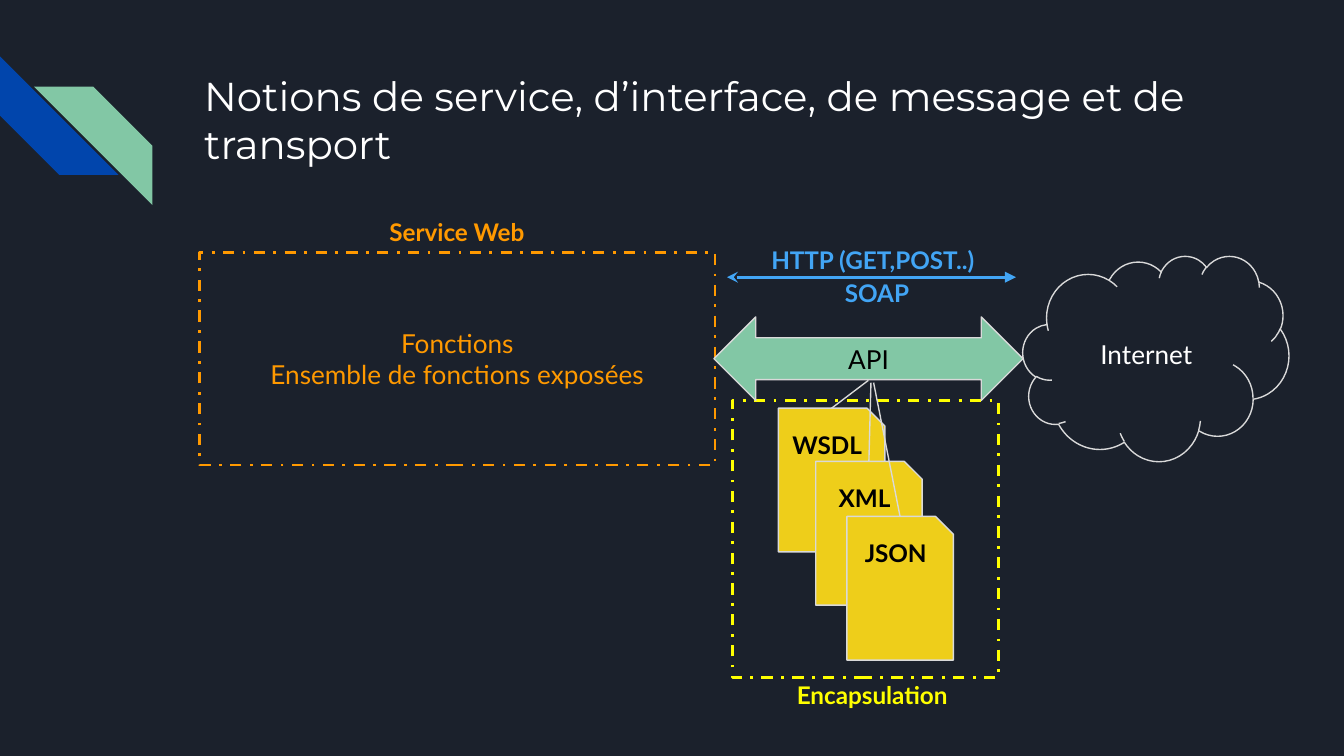
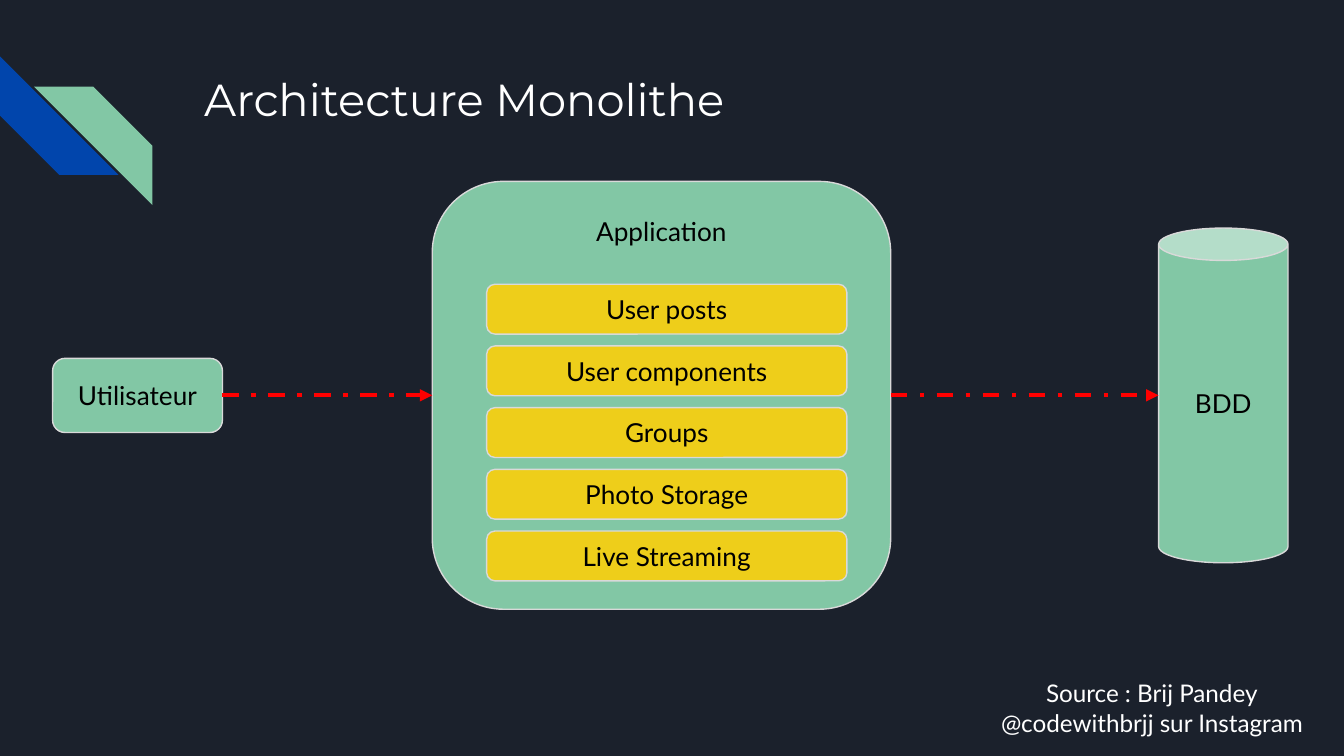
from lxml.etree import SubElement
from pptx import Presentation
from pptx.dml.color import RGBColor
from pptx.enum.dml import MSO_LINE as Dash
from pptx.enum.shapes import MSO_CONNECTOR as Connector, MSO_SHAPE as Shape
from pptx.enum.text import MSO_ANCHOR as Anchor, PP_ALIGN as Align
from pptx.oxml.ns import qn
from pptx.util import Pt

NIGHT = RGBColor(0x1B, 0x21, 0x2C)
BLUE = RGBColor(0x01, 0x45, 0xAC)
GREEN = RGBColor(0x82, 0xC7, 0xA5)
GOLD = RGBColor(0xEE, 0xCE, 0x1A)
ORANGE = RGBColor(0xFF, 0x99, 0x00)
YELLOW = RGBColor(0xFF, 0xFF, 0x00)
SKY = RGBColor(0x42, 0xA5, 0xF5)
RED = RGBColor(0xFF, 0x00, 0x00)
GREY = RGBColor(0xD9, 0xD9, 0xD9)
BLACK = RGBColor(0x00, 0x00, 0x00)
WHITE = RGBColor(0xFF, 0xFF, 0xFF)

BODY_FONT = "Lato"
TITLE_FONT = "Montserrat"
INSET = Pt(7.2)


def write(box, text, color, size=14, bold=False, font=BODY_FONT,
          align=Align.CENTER, anchor=Anchor.TOP):
    frame = box.text_frame
    frame.text = text
    frame.word_wrap = True
    frame.vertical_anchor = anchor
    frame.margin_left = frame.margin_right = INSET
    frame.margin_top = frame.margin_bottom = INSET
    for para in frame.paragraphs:
        para.alignment = align
        for span in para.runs:
            span.font.name = font
            span.font.size = Pt(size)
            span.font.bold = bold
            span.font.color.rgb = color


def add_label(page, area, text, color, **style):
    box = page.shapes.add_textbox(*map(Pt, area))
    write(box, text, color, **style)


def add_figure(page, kind, area, fill=None, line=GREY):
    figure = page.shapes.add_shape(kind, *map(Pt, area))
    figure.shadow.inherit = False
    if fill is None:
        figure.fill.background()
    else:
        figure.fill.solid()
        figure.fill.fore_color.rgb = fill
    if line is None:
        figure.line.fill.background()
    else:
        figure.line.color.rgb = line
        figure.line.width = Pt(0.75)
    return figure


def add_node(page, kind, area, text, fill=GREEN, color=BLACK, anchor=Anchor.MIDDLE, **style):
    node = add_figure(page, kind, area, fill)
    write(node, text, color, anchor=anchor, **style)


def add_dashed_frame(page, area, color):
    frame = add_figure(page, Shape.RECTANGLE, area, line=color)
    frame.line.width = Pt(1.5)
    frame.line.dash_style = Dash.DASH_DOT
    return frame


def add_line(page, start, end, color=GREY, width=0.75, dash=None, head=None, tail=None):
    line = page.shapes.add_connector(Connector.STRAIGHT, *map(Pt, (*start, *end)))
    line.line.color.rgb = color
    line.line.width = Pt(width)
    if dash is not None:
        line.line.dash_style = dash
    outline = line.line._get_or_add_ln()
    for tag, kind in (("a:headEnd", head), ("a:tailEnd", tail)):
        if kind:
            SubElement(outline, qn(tag), type=kind)
    SubElement(line._element.spPr, qn("a:effectLst"))


def add_page(deck, title, title_size):
    page = deck.slides.add_slide(deck.slide_layouts[6])
    page.background.fill.solid()
    page.background.fill.fore_color.rgb = NIGHT
    blue_stripe = add_figure(page, Shape.DIAGONAL_STRIPE, (0, 30.2, 63.5, 63.5), BLUE, None)
    blue_stripe.rotation = 270
    green_stripe = add_figure(page, Shape.DIAGONAL_STRIPE, (18.2, 46.4, 63.5, 63.5), GREEN, None)
    green_stripe._element.spPr.get_or_add_xfrm().set("flipH", "1")
    add_label(page, (102.3, 31, 554.4, 72), title, WHITE, size=title_size,
              font=TITLE_FONT, align=Align.LEFT)
    return page


def build_service_page(deck):
    page = add_page(deck, "Notions de service, d’interface, de message et de transport", 21.6)
    add_dashed_frame(page, (392.3, 214.5, 142.5, 148.5), YELLOW)
    service = add_dashed_frame(page, (107, 135.2, 276, 114), ORANGE)
    write(service, "Fonctions\nEnsemble de fonctions exposées", ORANGE, anchor=Anchor.MIDDLE)
    add_node(page, Shape.LEFT_RIGHT_ARROW, (382.5, 169.8, 165.6, 44.8), "API")
    add_node(page, Shape.CLOUD, (548, 137, 142.5, 110), "Internet", fill=None, color=WHITE)

    width, height = 57, 77
    formats = (
        ("WSDL", 417, 218.7, (465.2, 203.8)),
        ("XML", 437, 247.2, (466.6, 205)),
        ("JSON", 453.7, 276.7, (468, 205)),
    )
    for name, left, top, _ in formats:
        add_node(page, Shape.SNIP_1_RECTANGLE, (left, top, width, height), name,
                 fill=GOLD, anchor=Anchor.TOP, size=13, bold=True)
    for _, left, top, api_point in formats:
        add_line(page, (left + width / 2, top), api_point)

    add_line(page, (389.5, 148.5), (544.3, 148.5), SKY, 1.5, head="stealth", tail="triangle")
    for area, text, color in (
        ((194.2, 109.4, 101, 26), "Service Web", ORANGE),
        ((416.7, 357, 101, 26), "Encapsulation", YELLOW),
        ((403, 124, 129, 26), "HTTP (GET,POST..)", SKY),
        ((405.3, 142, 129, 26), "SOAP", SKY),
    ):
        add_label(page, area, text, color, size=13, bold=True)


def build_monolith_page(deck):
    page = add_page(deck, "Architecture Monolithe", 24)
    add_node(page, Shape.ROUNDED_RECTANGLE, (28.2, 192, 91, 39.7), "Utilisateur")
    add_node(page, Shape.ROUNDED_RECTANGLE, (231.6, 97.2, 245.6, 229.2), "Application",
             anchor=Anchor.TOP)
    add_node(page, Shape.CAN, (620.7, 122.2, 69.3, 179.3), "BDD")
    modules = ("User posts", "User components", "Groups", "Photo Storage", "Live Streaming")
    for row, name in enumerate(modules):
        add_node(page, Shape.ROUNDED_RECTANGLE, (260.7, 152.3 + 33.05 * row, 193, 26.7),
                 name, fill=GOLD)
    add_label(page, (524, 356.4, 186, 43.2),
              "Source : Brij Pandey\n@codewithbrjj sur Instagram", WHITE, size=13)
    for start, end in ((119, 231.6), (477.2, 620.7)):
        add_line(page, (start, 211.8), (end, 211.8), RED, 2.25, Dash.DASH_DOT, tail="triangle")


def main():
    deck = Presentation()
    deck.slide_width, deck.slide_height = Pt(720), Pt(405)
    build_service_page(deck)
    build_monolith_page(deck)
    deck.save("out.pptx")


if __name__ == "__main__":
    main()
